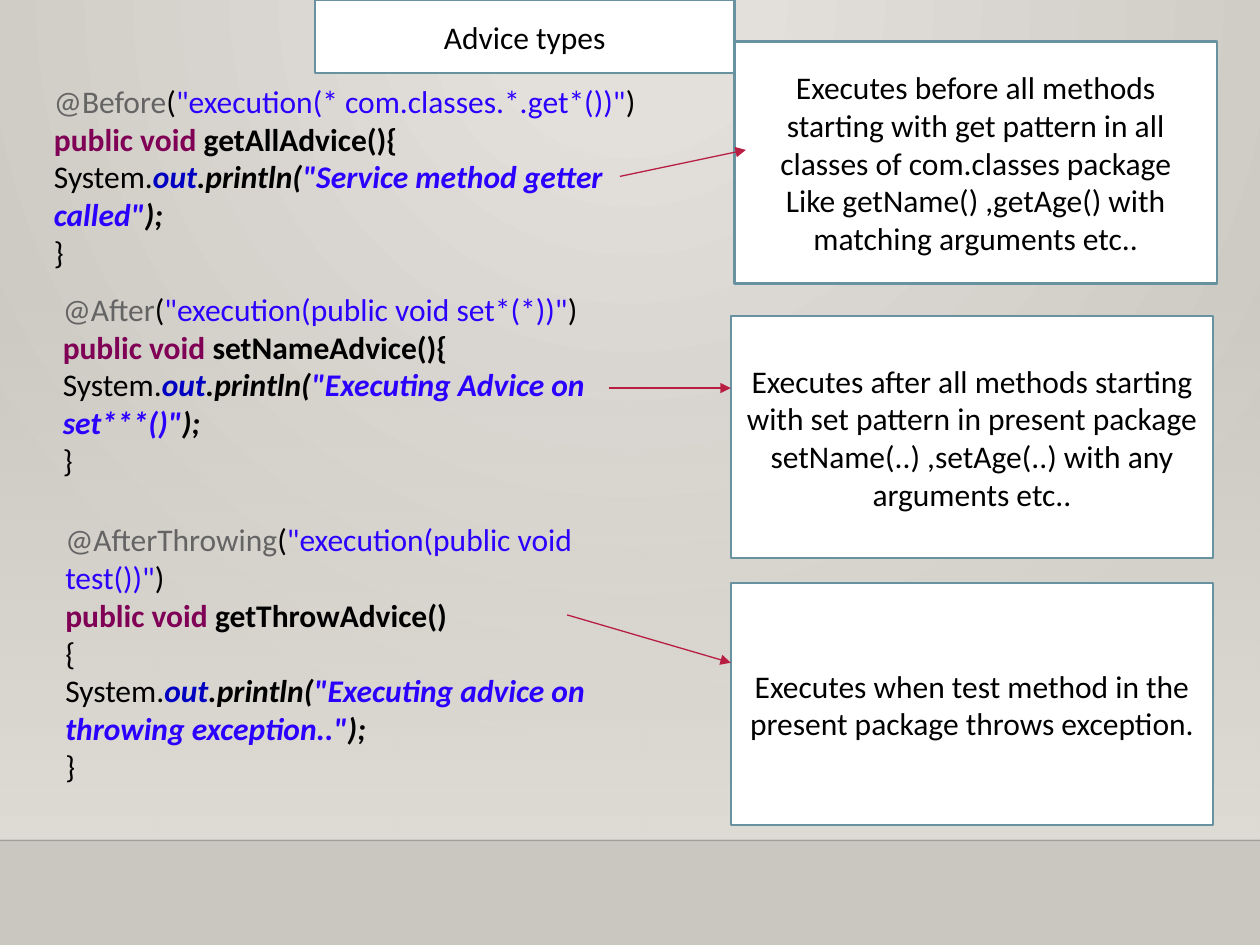
import pptx
import pptx.util
import pptx.dml.color
import pptx.enum.shapes
import pptx.enum.text
import pptx.oxml
import pptx.oxml.ns
from pptx.util import Inches

COLORS = {
    "annotation": "646464", "plain": "000000", "string": "2A00FF",
    "keyword": "7F0055", "field": "0000C0", "box": "FFFFFF",
    "border": "6892A0", "arrow": "B71E42", "rule": "000001",
    "glow": "E3E0DC", "edge": "CAC7C1", "panel": "DFDBD5",
}
FONT = "Calibri"
TITLE = "Advice types"
NOTE_SIZE = (3.83, 1.92)
CODE_WIDTH = 5

ADVICES = [
    {
        "annotation": "@Before",
        "pointcut": '"execution(* com.classes.*.get*())"',
        "method": "getAllAdvice(){", "opening": [],
        "message": '"Service method getter called"',
        "note": ["Executes before all methods starting with get pattern in all "
                 "classes of com.classes package",
                 "Like getName() ,getAge() with matching arguments etc.."],
        "code_at": (0.33, 0.6), "code_height": 1.62, "note_at": (5.83, 0.33),
        "arrow": (4.92, 1.4, 5.92, 1.19),
    },
    {
        "annotation": "@After",
        "pointcut": '"execution(public void set*(*))"',
        "method": "setNameAdvice(){", "opening": [],
        "message": '"Executing Advice on set***()"',
        "note": ["Executes after all methods starting with set pattern in present package",
                 "setName(..) ,setAge(..) with any arguments etc.."],
        "code_at": (0.4, 2.25), "code_height": 1.62, "note_at": (5.8, 2.51),
        "arrow": (4.83, 3.08, 5.8, 3.08),
    },
    {
        "annotation": "@AfterThrowing",
        "pointcut": '"execution(public void test())"',
        "method": "getThrowAdvice()", "opening": ["{"],
        "message": '"Executing advice on throwing exception.."',
        "note": ["Executes when test method in the present package throws exception."],
        "code_at": (0.42, 4.08), "code_height": 2.22, "note_at": (5.8, 4.63),
        "arrow": (4.5, 4.88, 5.8, 5.26),
    },
]


def rgb(name):
    return pptx.dml.color.RGBColor.from_string(COLORS[name])


def code_lines(advice):
    """Return the lines of one advice as lists of (text, color, bold, italic)."""
    return [
        [(advice["annotation"], "annotation", False, False),
         ("(", "plain", False, False),
         (advice["pointcut"], "string", False, False),
         (")", "plain", False, False)],
        [("public void ", "keyword", True, False),
         (advice["method"], "plain", True, False)],
        *[[(brace, "plain", False, False)] for brace in advice["opening"]],
        [("System.", "plain", False, False),
         ("out", "field", True, True),
         (".println(", "plain", True, True),
         (advice["message"], "string", True, True),
         (");", "plain", True, True)],
        [("}", "plain", False, False)],
    ]


def plain_lines(texts):
    return [[(text, "plain", False, False)] for text in texts]


def write(frame, lines, align):
    frame.word_wrap = True
    for index, line in enumerate(lines):
        paragraph = frame.paragraphs[0] if index == 0 else frame.add_paragraph()
        paragraph.alignment = align
        for text, color, bold, italic in line:
            run = paragraph.add_run()
            run.text = text
            run.font.name = FONT
            run.font.size = pptx.util.Pt(18)
            run.font.bold = bold
            run.font.italic = italic
            run.font.color.rgb = rgb(color)


def fill_box(box, texts):
    """Give a box its white fill, thin border and centred text."""
    box.fill.solid()
    box.fill.fore_color.rgb = rgb("box")
    box.line.color.rgb = rgb("border")
    box.line.width = pptx.util.Pt(1.25)
    box.text_frame.auto_size = pptx.enum.text.MSO_AUTO_SIZE.NONE
    box.text_frame.vertical_anchor = pptx.enum.text.MSO_ANCHOR.MIDDLE
    write(box.text_frame, plain_lines(texts), pptx.enum.text.PP_ALIGN.CENTER)


def set_gradient(properties, stops, direction):
    """Replace the fill with stops of (percent, color, alpha percent)."""
    old = properties.find(pptx.oxml.ns.qn("a:gradFill"))
    stop_xml = "".join(
        f'<a:gs pos="{position * 1000}"><a:srgbClr val="{COLORS[color]}">'
        f'<a:alpha val="{alpha * 1000}"/></a:srgbClr></a:gs>'
        for position, color, alpha in stops)
    properties.replace(old, pptx.oxml.parse_xml(
        f'<a:gradFill {pptx.oxml.ns.nsdecls("a")} rotWithShape="1">'
        f"<a:gsLst>{stop_xml}</a:gsLst>{direction}</a:gradFill>"))


def add_line(slide, ends, color, width):
    line = slide.shapes.add_connector(
        pptx.enum.shapes.MSO_CONNECTOR.STRAIGHT, *map(Inches, ends))
    line.line.color.rgb = rgb(color)
    line.line.width = pptx.util.Pt(width)
    line._element.spPr.append(pptx.oxml.parse_xml(
        f'<a:effectLst {pptx.oxml.ns.nsdecls("a")}/>'))
    return line


def add_backdrop(slide):
    slide.background.fill.gradient()
    set_gradient(
        slide.background._cSld.bg.bgPr, [(14, "glow", 90), (100, "edge", 100)],
        '<a:path path="circle"><a:fillToRect l="43000" t="0" r="43000" b="100000"/></a:path>')
    panel = slide.shapes.add_shape(
        pptx.enum.shapes.MSO_SHAPE.RECTANGLE, *map(Inches, (0, 2.2, 10, 4.46)))
    panel.shadow.inherit = False
    panel.line.fill.background()
    panel.fill.gradient()
    set_gradient(panel._element.spPr, [(0, "panel", 0), (100, "panel", 100)],
                 '<a:lin ang="5400000" scaled="0"/>')
    rule = add_line(slide, (0, 6.67, 10, 6.67), "rule", 1)
    color = rule._element.spPr.find(".//" + pptx.oxml.ns.qn("a:srgbClr"))
    color.append(pptx.oxml.parse_xml(
        f'<a:alpha {pptx.oxml.ns.nsdecls("a")} val="20000"/>'))


def add_advice(slide, advice):
    code = slide.shapes.add_textbox(
        *map(Inches, (*advice["code_at"], CODE_WIDTH, advice["code_height"])))
    write(code.text_frame, code_lines(advice), pptx.enum.text.PP_ALIGN.LEFT)
    note = slide.shapes.add_shape(
        pptx.enum.shapes.MSO_SHAPE.RECTANGLE,
        *map(Inches, (*advice["note_at"], *NOTE_SIZE)))
    note.shadow.inherit = False
    fill_box(note, advice["note"])
    arrow = add_line(slide, advice["arrow"], "arrow", 0.75)
    arrow.line._get_or_add_ln().append(pptx.oxml.parse_xml(
        f'<a:tailEnd {pptx.oxml.ns.nsdecls("a")} type="triangle"/>'))


def main():
    deck = pptx.Presentation()
    deck.slide_width, deck.slide_height = Inches(10), Inches(7.5)
    slide = deck.slides.add_slide(deck.slide_layouts[5])
    add_backdrop(slide)
    for advice in ADVICES:
        add_advice(slide, advice)
    title = slide.shapes.title
    title.left, title.top, title.width, title.height = map(Inches, (2.5, 0, 3.33, 0.58))
    fill_box(title, [TITLE])
    deck.save("out.pptx")


if __name__ == "__main__":
    main()
